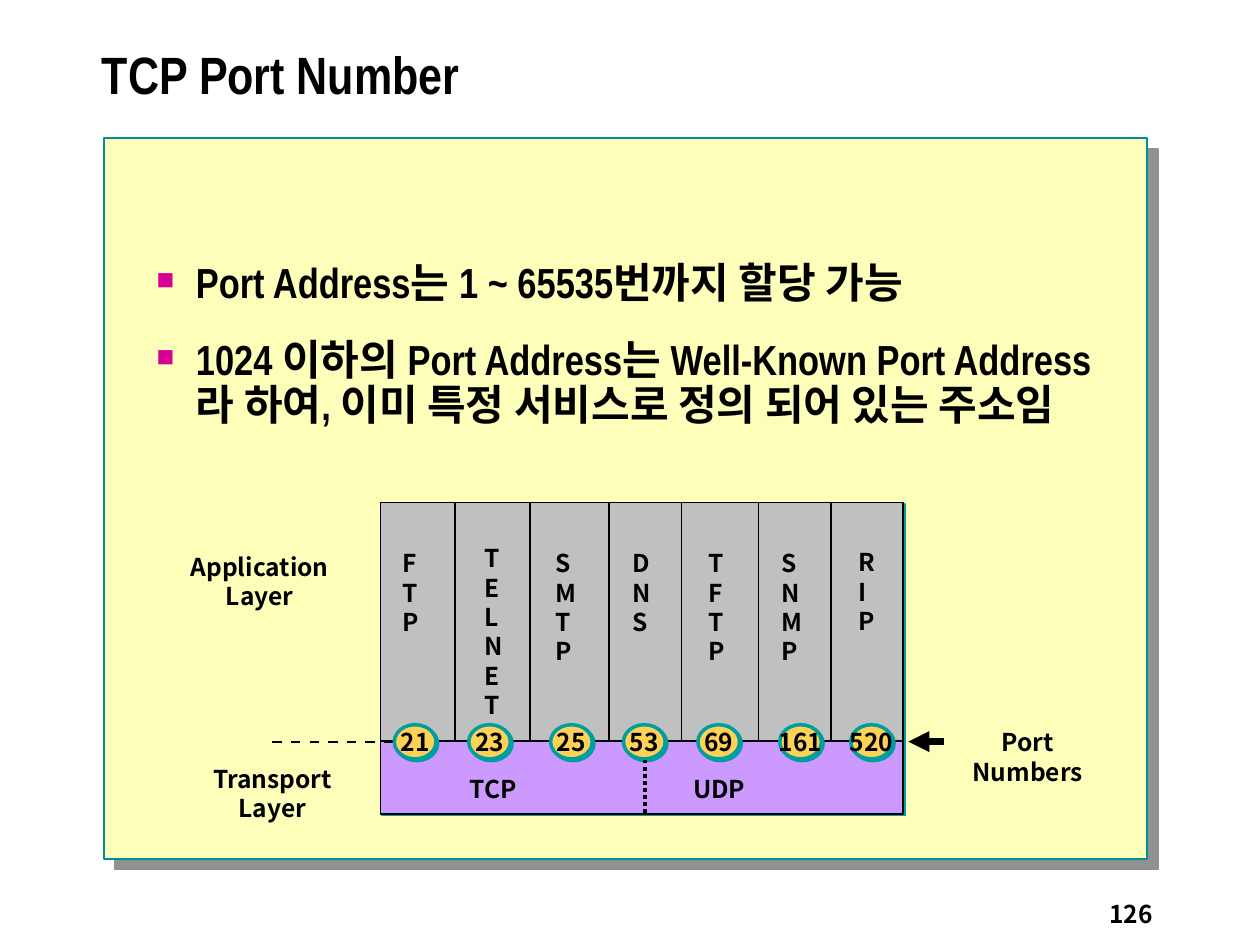
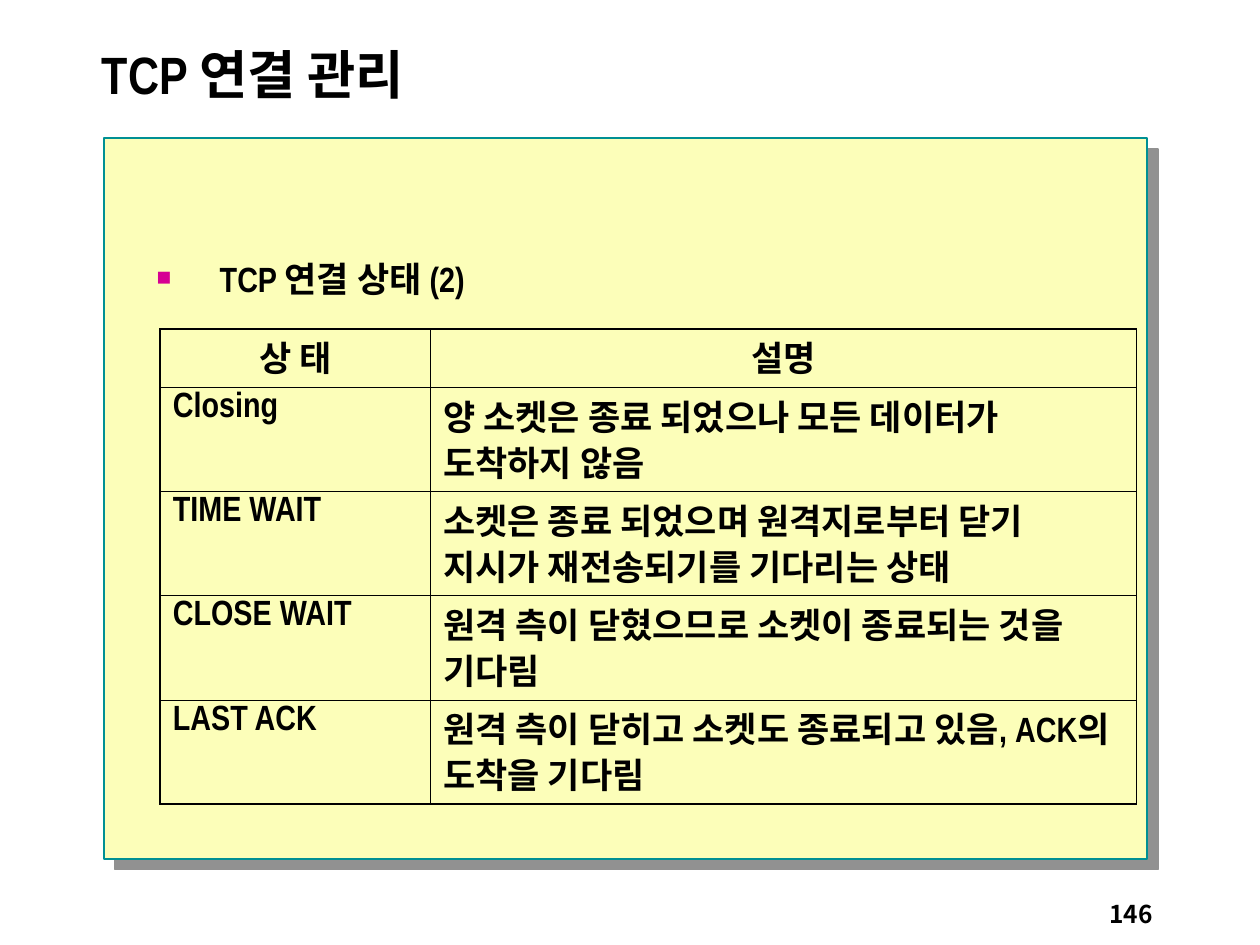
from lxml.etree import SubElement
from pptx import Presentation
from pptx.dml.color import RGBColor
from pptx.enum.dml import MSO_LINE
from pptx.enum.shapes import MSO_CONNECTOR, MSO_SHAPE
from pptx.enum.text import MSO_ANCHOR, PP_ALIGN
from pptx.oxml.ns import qn
from pptx.util import Cm, Pt

BLACK = RGBColor(0x00, 0x00, 0x00)
CREAM = RGBColor(0xFC, 0xFE, 0xB9)
TEAL = RGBColor(0x00, 0x90, 0x94)
BRIGHT_TEAL = RGBColor(0x00, 0x9E, 0xA1)
SHADOW_GREY = RGBColor(0x91, 0x91, 0x91)
SILVER = RGBColor(0xC0, 0xC0, 0xC0)
VIOLET = RGBColor(0xCC, 0x99, 0xFF)
GOLD = RGBColor(0xFF, 0xD2, 0x55)
MAGENTA = RGBColor(0xD6, 0x00, 0x93)

NARROW = "Arial Narrow"
KOREAN = "Noto Sans CJK KR"

# name, divider x (cm), label x, label y, oval x, port
PROTOCOLS = [
    ("FTP", 9.17, 8.07, 10.97, 7.95, "21"),
    ("TELNET", 10.69, 9.72, 10.87, 9.45, "23"),
    ("SMTP", 12.27, 11.15, 10.97, 11.1, "25"),
    ("DNS", 13.74, 12.7, 10.97, 12.57, "53"),
    ("TFTP", 15.29, 14.24, 10.97, 14.07, "69"),
    ("SNMP", None, 15.7, 10.97, 15.72, "161"),
    ("RIP", None, 17.25, 10.95, 17.15, "520"),
]

LABELS = [
    ("TCP", 7.73, 15.52, 4.42),
    ("UDP", 13.65, 15.52, 1.7),
    ("Port\nNumbers", 19.42, 14.58, 2.6),
    ("Transport\nLayer", 4.01, 15.32, 2.97),
    ("Application\nLayer", 3.75, 11.05, 2.97),
]

STATES = [
    ("상 태", "설명"),
    ("Closing", "양 소켓은 종료 되었으나 모든 데이터가 도착하지 않음"),
    ("TIME WAIT", "소켓은 종료 되었으며 원격지로부터 닫기 지시가 재전송되기를 기다리는 상태"),
    ("CLOSE WAIT", "원격 측이 닫혔으므로 소켓이 종료되는 것을 기다림"),
    ("LAST ACK", "원격 측이 닫히고 소켓도 종료되고 있음, ACK의 도착을 기다림"),
]


class Deck:
    def __init__(self):
        self.prs = Presentation()
        self.prs.slide_width, self.prs.slide_height = Cm(25.4), Cm(19.05)
        self.s = None

    def slide(self, title, number):
        """Start a slide with its panel, title and page number."""
        self.s = self.prs.slides.add_slide(self.prs.slide_layouts[5])
        self.box(2.1, 2.79, 21.03, 14.53, CREAM, TEAL, SHADOW_GREY, 8.5)
        sp = self.s.shapes.title
        sp.left, sp.top, sp.width, sp.height = Cm(1.8), Cm(0.43), Cm(22.76), Cm(2.34)
        sp.text_frame.text = title
        sp.text_frame.vertical_anchor = MSO_ANCHOR.MIDDLE
        self.style(sp.text_frame, 30, NARROW, PP_ALIGN.LEFT, 0.8)
        tf = self.text(number, 18.21, 17.58, 5.28, 1.27)
        tf.vertical_anchor = MSO_ANCHOR.BOTTOM
        self.style(tf, 14, KOREAN, PP_ALIGN.RIGHT)

    def style(self, tf, size, font, align=PP_ALIGN.LEFT, spacing=1.0):
        for p in tf.paragraphs:
            p.alignment, p.line_spacing = align, spacing
            for r in p.runs:
                r.font.size, r.font.bold, r.font.name = Pt(size), True, font
                r.font.color.rgb = BLACK
                SubElement(r.font._element, qn("a:ea"), typeface=KOREAN)

    def text(self, text, x, y, w, h):
        tf = self.s.shapes.add_textbox(Cm(x), Cm(y), Cm(w), Cm(h)).text_frame
        tf.word_wrap = True
        tf.text = text
        return tf

    def label(self, text, x, y, w, align=PP_ALIGN.CENTER):
        tf = self.text(text, x, y, w, 0.6 * (text.count("\n") + 1))
        tf.margin_left = tf.margin_right = Cm(0.05)
        tf.margin_top = tf.margin_bottom = Cm(0.08)
        self.style(tf, 14, KOREAN, align)

    def bullets(self, items, size, indent, w):
        tf = self.text("\n".join(items), 2.91, 5.16, w, 11.91)
        for i, p in enumerate(tf.paragraphs):
            if i:
                p.space_before = Pt(0.75 * size)
            pPr = p._p.get_or_add_pPr()
            pPr.set("marL", str(Cm(indent)))
            pPr.set("indent", str(-Cm(indent)))
            color = SubElement(pPr, qn("a:buClr"))
            SubElement(color, qn("a:srgbClr"), val=str(MAGENTA))
            SubElement(pPr, qn("a:buSzPct"), val="70000")
            SubElement(pPr, qn("a:buFont"), typeface=NARROW)
            SubElement(pPr, qn("a:buChar"), char="■")
        self.style(tf, size, NARROW, spacing=0.9)

    def box(self, x, y, w, h, fill, line=BLACK, shadow=BRIGHT_TEAL, distance=1.4,
            kind=MSO_SHAPE.RECTANGLE, weight=1):
        """Add a filled shape with a hard shadow to its lower right."""
        sp = self.s.shapes.add_shape(kind, Cm(x), Cm(y), Cm(w), Cm(h))
        sp.fill.solid()
        sp.fill.fore_color.rgb = fill
        sp.line.color.rgb, sp.line.width = line, Pt(weight)
        sp.shadow.inherit = False
        effects = sp._element.spPr.find(qn("a:effectLst"))
        outer = SubElement(effects, qn("a:outerShdw"), blurRad="0", dist=str(Pt(distance)),
                           dir="2700000", algn="ctr", rotWithShape="0")
        SubElement(outer, qn("a:srgbClr"), val=str(shadow))
        return sp

    def port(self, number, x):
        sp = self.box(x, 14.61, 0.84, 0.69, GOLD, BRIGHT_TEAL,
                      kind=MSO_SHAPE.OVAL, weight=2)
        tf = sp.text_frame
        tf.margin_left = tf.margin_right = tf.margin_top = tf.margin_bottom = 0
        tf.word_wrap = False
        tf.vertical_anchor = MSO_ANCHOR.MIDDLE
        tf.text = number
        self.style(tf, 14, KOREAN, PP_ALIGN.CENTER)

    def line(self, x1, y1, x2, y2, weight=1, dash=None, arrow=False):
        c = self.s.shapes.add_connector(MSO_CONNECTOR.STRAIGHT, Cm(x1), Cm(y1), Cm(x2), Cm(y2))
        c.line.color.rgb, c.line.width = BLACK, Pt(weight)
        if dash:
            c.line.dash_style = dash
        if arrow:
            SubElement(c.line._get_or_add_ln(), qn("a:tailEnd"), type="triangle")
        SubElement(c._element.spPr, qn("a:effectLst"))

    def table(self, rows, x, y, col_widths, row_heights):
        tbl = self.s.shapes.add_table(len(rows), len(col_widths), Cm(x), Cm(y),
                                      Cm(sum(col_widths)), Cm(sum(row_heights))).table
        tbl.first_row = tbl.horz_banding = False
        for col, w in zip(tbl.columns, col_widths):
            col.width = Cm(w)
        for row, h in zip(tbl.rows, row_heights):
            row.height = Cm(h)
        last_row, last_col = len(rows) - 1, len(col_widths) - 1
        for i, row in enumerate(rows):
            for j, text in enumerate(row):
                cell = tbl.cell(i, j)
                cell.text = text
                align = PP_ALIGN.LEFT if i else PP_ALIGN.CENTER
                self.style(cell.text_frame, 20, NARROW, align, 0.9)
                self.borders(cell, L=j == 0, R=j == last_col, T=i == 0, B=i == last_row)
                cell.fill.background()

    def borders(self, cell, **outer_sides):
        """Draw all four sides, heavier where the side is on the table's edge."""
        tcPr = cell._tc.get_or_add_tcPr()
        for side, outer in outer_sides.items():
            ln = SubElement(tcPr, qn(f"a:ln{side}"), w=str(Pt(1.08 if outer else 0.45)))
            fill = SubElement(ln, qn("a:solidFill"))
            SubElement(fill, qn("a:srgbClr"), val=str(BLACK))


def port_numbers(deck):
    deck.slide("TCP Port Number", "126")
    deck.bullets(["Port Address는 1 ~ 65535번까지 할당 가능",
                  "1024 이하의 Port Address는 Well-Known Port Address라 하여, "
                  "이미 특정 서비스로 정의 되어 있는 주소임"], 24, 0.79, 20)
    top, boundary = 10.13, 14.94
    deck.box(7.67, top, 9.09, boundary - top, SILVER)
    deck.box(16.76, top, 1.45, boundary - top, SILVER)
    deck.box(7.67, boundary, 10.54, 1.47, VIOLET)
    for text, x, y, w in LABELS:
        deck.label(text, x, y, w)
    for i in range(8):
        x = 5.49 + 0.375 * i
        deck.line(x, 14.96, x + 0.19, 14.96, 0.75)
    for name, divider, label_x, label_y, oval_x, number in PROTOCOLS:
        if divider:
            deck.line(divider, top, divider, boundary)
        deck.label("\n".join(name), label_x, label_y, 0.9, PP_ALIGN.LEFT)
        deck.port(number, oval_x)
    deck.line(13, 15.32, 13, 16.43, 2, dash=MSO_LINE.ROUND_DOT)
    deck.line(19.02, 14.95, 18.31, 14.95, 4, arrow=True)


def connection_states(deck):
    deck.slide("TCP 연결 관리", "146")
    deck.bullets(["TCP 연결 상태 (2)"], 20, 1.27, 9.78)
    deck.table(STATES, 3.23, 6.63, [5.45, 14.23], [1.18] + [2.1] * 4)


def main():
    deck = Deck()
    port_numbers(deck)
    connection_states(deck)
    deck.prs.save("out.pptx")


if __name__ == "__main__":
    main()
